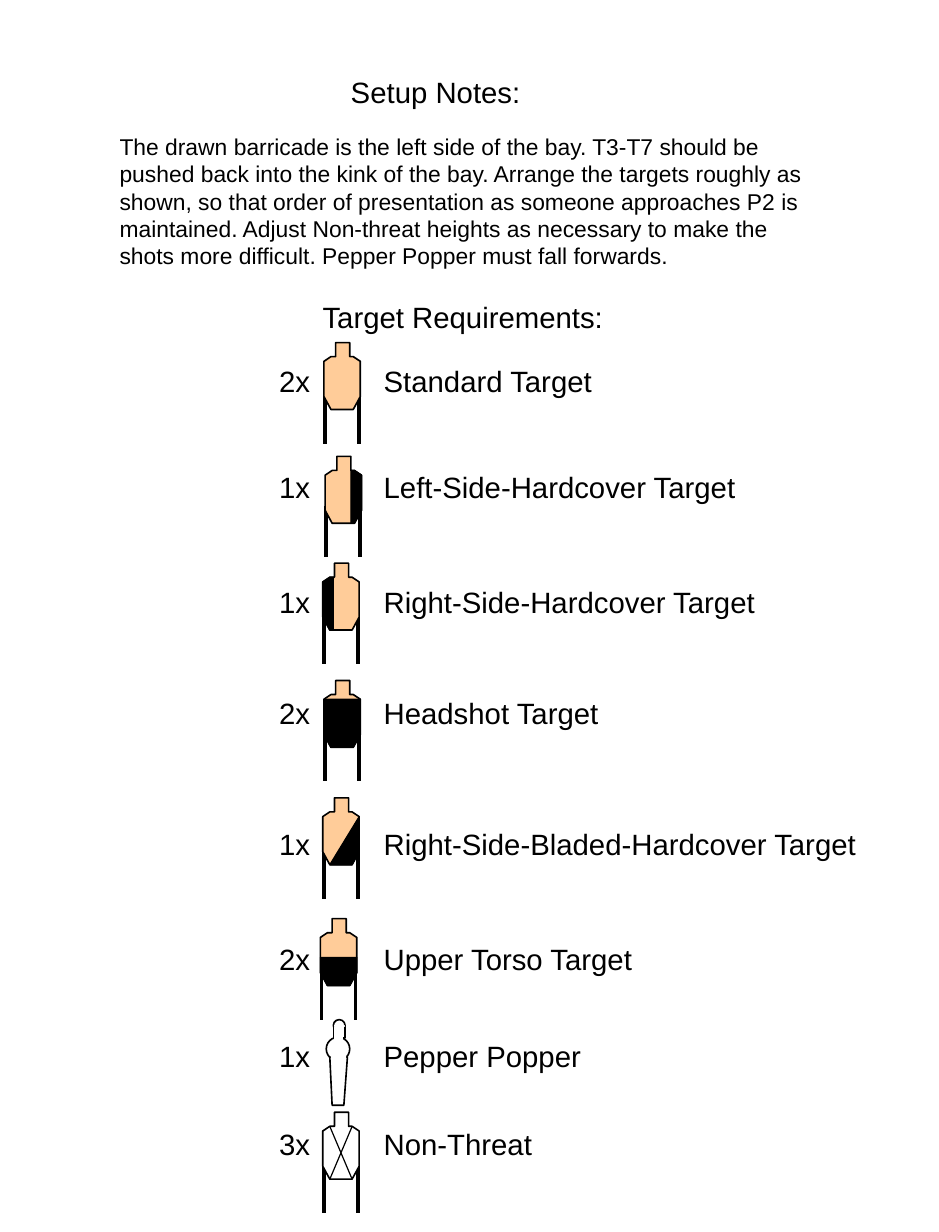
from dataclasses import dataclass

from lxml.etree import SubElement
from pptx import Presentation
from pptx.dml.color import RGBColor
from pptx.enum.shapes import MSO_CONNECTOR, MSO_SHAPE
from pptx.oxml.ns import qn
from pptx.util import Inches, Pt


@dataclass(frozen=True)
class Theme:
    font: str = "Arial"
    head: float = 18
    body: float = 14
    black: str = "000000"
    white: str = "FFFFFF"
    tan: str = "FFCC99"
    edge: float = 1
    leg: float = 2.25
    cross: float = 0.75


class Page:
    def __init__(self, slide, theme):
        self.slide = slide
        self.theme = theme
        self.shapes = slide.shapes

    def group(self):
        """Send the shapes that follow into a new group."""
        self.shapes = self.slide.shapes.add_group_shape().shapes

    def text(self, words, x, y, w, h, size, wrap=True, tab=None):
        box = self.slide.shapes.add_textbox(Inches(x), Inches(y), Inches(w), Inches(h))
        frame = box.text_frame
        frame.word_wrap = wrap
        para = frame.paragraphs[0]
        if tab:
            stops = SubElement(para._p.get_or_add_pPr(), qn("a:tabLst"))
            SubElement(stops, qn("a:tab"), pos=str(Inches(tab)), algn="l")
        run = para.add_run()
        run.text = words
        run.font.name = self.theme.font
        run.font.size = Pt(size)
        run.font.color.rgb = RGBColor.from_string(self.theme.black)

    def line(self, x1, y1, x2, y2, width):
        link = self.shapes.add_connector(
            MSO_CONNECTOR.STRAIGHT, Inches(x1), Inches(y1), Inches(x2), Inches(y2))
        link.line.color.rgb = RGBColor.from_string(self.theme.black)
        link.line.width = Pt(width)
        SubElement(link._element.spPr, qn("a:effectLst"))

    def paint(self, shape, fill, line, width):
        shape.shadow.inherit = False
        shape.fill.solid()
        shape.fill.fore_color.rgb = RGBColor.from_string(fill)
        if line is None:
            shape.line.fill.background()
        else:
            shape.line.color.rgb = RGBColor.from_string(line)
            shape.line.width = Pt(width)

    def shape(self, kind, x, y, w, h, line):
        item = self.shapes.add_shape(kind, Inches(x), Inches(y), Inches(w), Inches(h))
        self.paint(item, self.theme.white, line, self.theme.edge)

    def poly(self, x, y, points, fill, width):
        """Draw a closed outline from points relative to x, y."""
        spots = [(Inches(x + dx), Inches(y + dy)) for dx, dy in points]
        path = self.shapes.build_freeform(*spots[0])
        path.add_line_segments(spots[1:], close=True)
        self.paint(path.convert_to_shape(), fill, self.theme.black, width)

    def target(self, x, y, fill, cover=None, cross=False):
        look = self.theme
        self.group()
        for dx in (0.01, 0.3):
            self.line(x + dx, y + 0.42, x + dx, y + 0.86, look.leg)
        self.poly(x, y, BODY, fill, look.edge)
        if cover:
            self.poly(x, y, cover, look.black, 0)
        if cross:
            for a, b in ((0.25, 0.06), (0.06, 0.25)):
                self.line(x + a, y + 0.12, x + b, y + 0.57, look.cross)

    def popper(self, x, y):
        look = self.theme
        self.group()
        self.shape(MSO_SHAPE.OVAL, x + 0.06, y, 0.1, 0.1, look.black)
        self.shape(MSO_SHAPE.OVAL, x, y + 0.15, 0.2, 0.2, look.black)
        leg = [(0.03, 0.32), (0.18, 0.32), (0.15, 0.73), (0.05, 0.73)]
        self.poly(x, y, leg, look.white, look.edge)
        neck = MSO_SHAPE.RECTANGLE
        self.shape(neck, x + 0.06, y + 0.06, 0.1, 0.1, look.black)
        self.shape(neck, x + 0.04, y + 0.31, 0.13, 0.02, None)
        self.shape(neck, x + 0.07, y + 0.15, 0.07, 0.02, look.white)
        self.shape(neck, x + 0.07, y + 0.05, 0.08, 0.01, look.white)


WIDE = 0.31
FOOT = [(WIDE, 0.46), (0.25, 0.57), (0.06, 0.57), (0, 0.46)]
BODY = [(0.1, 0), (0.22, 0), (0.22, 0.12), (0.25, 0.12), (WIDE, 0.16),
        *FOOT, (0, 0.16), (0.06, 0.12), (0.1, 0.12)]
RIGHT = [(0.22, 0.12), (0.22, 0.57), (0.25, 0.57), (WIDE, 0.46),
         (WIDE, 0.16), (0.25, 0.12)]
LEFT = [(WIDE - x, y) for x, y in RIGHT]
HEAD = [(0, 0.16), (WIDE, 0.16), *FOOT]
TORSO = [(0, 0.33), (WIDE, 0.33), *FOOT]
BLADE = [(WIDE, 0.16), (WIDE, 0.45), (0.25, 0.57), (0.06, 0.57)]

NOTE = (
    "The drawn barricade is the left side of the bay. T3-T7 should be pushed back "
    "into the kink of the bay. Arrange the targets roughly as shown, so that order "
    "of presentation as someone approaches P2 is maintained. Adjust Non-threat "
    "heights as necessary to make the shots more difficult. Pepper Popper must "
    "fall forwards."
)

# count, label, label top, label width
ROWS = [
    ("2x", "Standard Target", 3.05, 2.89),
    ("1x", "Left-Side-Hardcover Target", 3.95, 4.19),
    ("1x", "Right-Side-Hardcover Target", 4.93, 4.29),
    ("2x", "Headshot Target", 5.88, 2.95),
    ("1x", "Right-Side-Bladed-Hardcover Target", 6.99, 5.16),
    ("2x", "Upper Torso Target", 7.97, 3.31),
    ("1x", "Pepper Popper", 8.8, 2.8),
    ("3x", "Non-Threat", 9.55, 2.38),
]

# left, top, hardcover
TARGETS = [
    (2.76, 2.92, None),
    (2.77, 3.89, RIGHT),
    (2.75, 4.8, LEFT),
    (2.76, 5.8, HEAD),
    (2.75, 6.8, BLADE),
    (2.73, 7.83, TORSO),
]


def main():
    deck = Presentation()
    deck.slide_width, deck.slide_height = Inches(8), Inches(10.5)
    look = Theme()
    page = Page(deck.slides.add_slide(deck.slide_layouts[6]), look)

    page.text("Setup Notes:", 2.89, 0.58, 1.66, 0.4, look.head, wrap=False)
    page.text(NOTE, 0.92, 1.08, 6.17, 1.51, look.body)
    page.text("Target Requirements:", 2.65, 2.5, 2.7, 0.4, look.head, wrap=False)

    for count, label, top, width in ROWS:
        page.text(f"{count}\t{label}", 2.28, top, width, 0.4, look.head, tab=0.89)
    for left, top, cover in TARGETS:
        page.target(left, top, look.tan, cover)
    page.popper(2.78, 8.69)
    page.target(2.75, 9.48, look.white, cross=True)

    deck.save("out.pptx")


if __name__ == "__main__":
    main()
